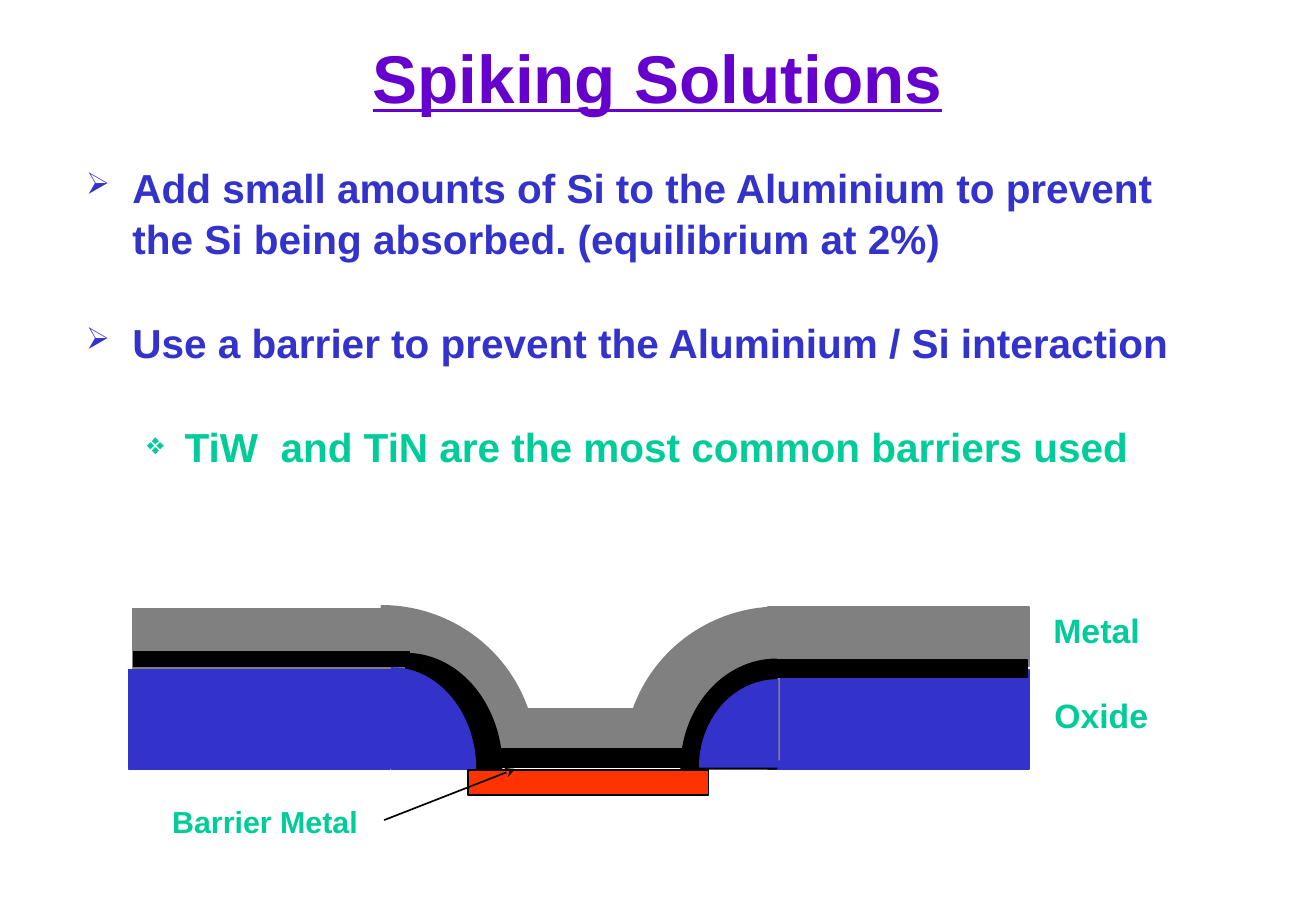
from dataclasses import dataclass

from lxml import etree
from pptx import Presentation
from pptx.dml.color import RGBColor
from pptx.enum.shapes import MSO_CONNECTOR, MSO_SHAPE
from pptx.enum.text import MSO_ANCHOR, PP_ALIGN
from pptx.oxml.ns import qn
from pptx.slide import Slide
from pptx.text.text import TextFrame
from pptx.util import Cm, Pt

RECTANGLE = MSO_SHAPE.RECTANGLE
PIE = MSO_SHAPE.PIE
STRAIGHT = MSO_CONNECTOR.STRAIGHT
CENTER = PP_ALIGN.CENTER
MIDDLE = MSO_ANCHOR.MIDDLE
TOP = MSO_ANCHOR.TOP

FONT = "Arial"
PURPLE = "6600CC"
BLUE = "3333CC"
GREEN = "00CC99"
GREY = "808080"
BLACK = "000000"
RED = "FF3300"

TOP_LEFT = (108.0, 162.0)
TOP_RIGHT = (162.0, 0.0)


@dataclass
class Box:
    left: float
    top: float
    width: float
    height: float


@dataclass
class Layer:
    box: Box
    fill: str
    outline: str | None
    quarter: tuple[float, float] | None = None


@dataclass
class Label:
    text: str
    box: Box
    size: float


@dataclass
class Bullet:
    text: str
    symbol: str
    color: str
    indent: float
    hanging: float
    line_spacing: float
    space_before: float


LAYERS = [
    Layer(Box(16.05, 14, 5.46, 2.08), BLUE, BLUE),
    Layer(Box(13.06, 12.7, 6.45, 6.38), GREY, GREY, TOP_LEFT),
    Layer(Box(9.96, 14.81, 4.57, 1.14), GREY, None),
    Layer(Box(16.05, 12.7, 5.46, 1.24), GREY, GREY),
    Layer(Box(4.75, 12.67, 6.45, 6.38), GREY, GREY, TOP_RIGHT),
    Layer(Box(2.77, 12.73, 5.23, 1.24), GREY, GREY),
    Layer(Box(2.69, 14, 5.46, 2.08), BLUE, BLUE),
    Layer(Box(9.88, 15.67, 4.78, 0.38), BLACK, BLACK),
    Layer(Box(6.48, 13.67, 4.01, 4.78), BLACK, BLACK, TOP_RIGHT),
    Layer(Box(16.21, 13.79, 5.26, 0.38), BLACK, BLACK),
    Layer(Box(2.79, 13.64, 5.77, 0.3), BLACK, BLACK),
    Layer(Box(6.43, 13.97, 3.51, 4.22), BLUE, BLUE, TOP_RIGHT),
    Layer(Box(14.24, 13.79, 3.99, 4.57), BLACK, BLACK, TOP_LEFT),
    Layer(Box(14.63, 14.22, 3.25, 3.63), BLUE, BLUE, TOP_LEFT),
    Layer(Box(9.78, 16.1, 5.03, 0.53), RED, BLACK),
]

LABELS = [
    Label("Metal", Box(21.77, 12.62, 2.31, 1.09), 20),
    Label("Oxide", Box(21.79, 14.4, 2.49, 1.09), 20),
    Label("Barrier Metal", Box(3.35, 16.66, 4.39, 1.02), 18),
]

BULLETS = [
    Bullet("Add small amounts of Si to the Aluminium to prevent the Si being "
           "absorbed. (equilibrium at 2%)", "➢", BLUE, 0.97, 0.97, 1.05, 0),
    Bullet("Use a barrier to prevent the Aluminium / Si interaction",
           "➢", BLUE, 0.97, 0.97, 0.9, 6),
    Bullet("TiW  and TiN are the most common barriers used",
           "❖", GREEN, 2.06, 0.79, 0.9, 6),
]


def color(value: str) -> RGBColor:
    return RGBColor.from_string(value)


def add_layer(slide: Slide, layer: Layer) -> None:
    box = layer.box
    shape = slide.shapes.add_shape(
        PIE if layer.quarter else RECTANGLE,
        Cm(box.left), Cm(box.top), Cm(box.width), Cm(box.height))
    shape.shadow.inherit = False
    if layer.quarter:
        shape.adjustments[0], shape.adjustments[1] = layer.quarter
    shape.fill.solid()
    shape.fill.fore_color.rgb = color(layer.fill)
    if layer.outline:
        shape.line.color.rgb = color(layer.outline)
        shape.line.width = Pt(1)
    else:
        shape.line.fill.background()


def add_text_frame(slide: Slide, box: Box, wrap: bool,
                   anchor: MSO_ANCHOR = TOP) -> TextFrame:
    shape = slide.shapes.add_textbox(
        Cm(box.left), Cm(box.top), Cm(box.width), Cm(box.height))
    frame = shape.text_frame
    frame.word_wrap = wrap
    frame.vertical_anchor = anchor
    return frame


def add_run(paragraph, text: str, size: float, fill: str,
            underline: bool = False) -> None:
    run = paragraph.add_run()
    run.text = text
    run.font.name = FONT
    run.font.size = Pt(size)
    run.font.bold = True
    if underline:
        run.font.underline = True
    run.font.color.rgb = color(fill)


def add_bullets(slide: Slide, box: Box, bullets: list[Bullet]) -> None:
    frame = add_text_frame(slide, box, True)
    for index, bullet in enumerate(bullets):
        paragraph = frame.add_paragraph() if index else frame.paragraphs[0]
        properties = paragraph._p.get_or_add_pPr()
        properties.set("marL", str(Cm(bullet.indent)))
        properties.set("indent", str(-Cm(bullet.hanging)))
        bullet_color = etree.SubElement(properties, qn("a:buClr"))
        etree.SubElement(bullet_color, qn("a:srgbClr"), val=bullet.color)
        etree.SubElement(properties, qn("a:buSzPct"), val="75000")
        etree.SubElement(properties, qn("a:buChar"), char=bullet.symbol)
        paragraph.line_spacing = bullet.line_spacing
        paragraph.space_before = Pt(bullet.space_before)
        paragraph.space_after = Pt(30)
        add_run(paragraph, bullet.text, 24, bullet.color)


def add_arrow(slide: Slide, start: tuple[float, float],
              end: tuple[float, float]) -> None:
    connector = slide.shapes.add_connector(
        STRAIGHT, *map(Cm, start), *map(Cm, end))
    connector.line.color.rgb = color(BLACK)
    connector.line.width = Pt(1)
    etree.SubElement(connector.line._get_or_add_ln(), qn("a:tailEnd"), type="stealth")
    etree.SubElement(connector._element.spPr, qn("a:effectLst"))


def main() -> None:
    presentation = Presentation()
    presentation.slide_width = Cm(27.51)
    presentation.slide_height = Cm(19.05)
    slide = presentation.slides.add_slide(presentation.slide_layouts[6])

    title = add_text_frame(slide, Box(2.06, 0, 23.37, 3.18), True, MIDDLE)
    title.paragraphs[0].alignment = CENTER
    add_run(title.paragraphs[0], "Spiking Solutions", 40, PURPLE, underline=True)
    add_bullets(slide, Box(1.55, 3.23, 24, 9.53), BULLETS)

    for layer in LAYERS:
        add_layer(slide, layer)
    for label in LABELS:
        frame = add_text_frame(slide, label.box, False)
        add_run(frame.paragraphs[0], label.text, label.size, GREEN)
    add_arrow(slide, (8.03, 17.15), (10.77, 16.08))

    presentation.save("out.pptx")


if __name__ == "__main__":
    main()
